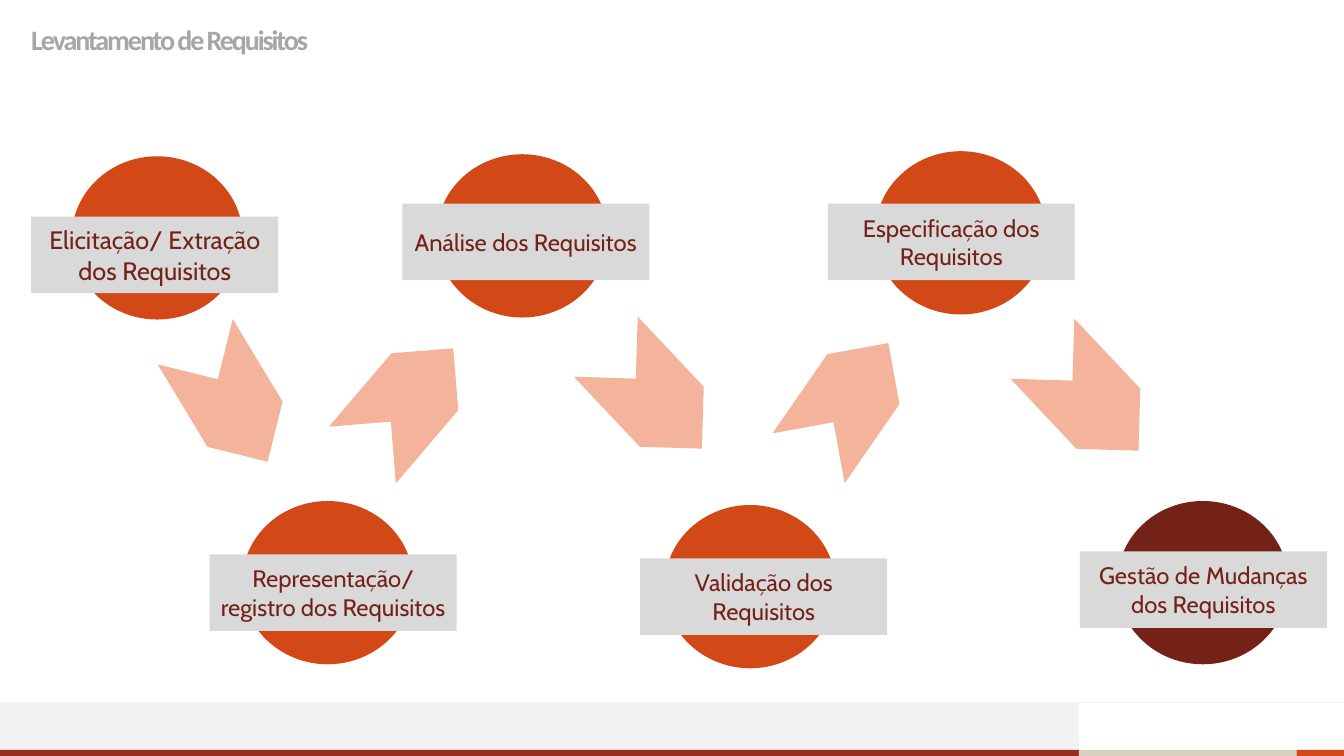
from pptx import Presentation
from pptx.dml.color import RGBColor
from pptx.enum.shapes import MSO_CONNECTOR as Connector, MSO_SHAPE as Shape
from pptx.enum.text import MSO_ANCHOR as Anchor, PP_ALIGN as Align
from pptx.oxml.ns import qn
from pptx.util import Pt
from lxml.etree import SubElement

PX = 9144
WIDTH, HEIGHT = 1333, 750
COLORS = {
    "orange": "D34817", "maroon": "742217", "peach": "F4B39B", "label": "D9D9D9",
    "title": "A6A6A6", "band": "F2F2F2", "red": "9B2D1F", "beige": "D8D0C0",
}
CIRCLE_SIZE = (170, 162)
LABEL_SIZE = (245, 76)
CHEVRON_SIZE = (139, 87)
STEPS = [
    ("Elicitação/ Extração dos Requisitos", (71, 155), (31, 215), "orange", 18),
    ("Representação/ registro dos Requisitos", (240, 497), (208, 550), "orange", 17),
    ("Análise dos Requisitos", (433, 153), (399, 202), "orange", 17),
    ("Validação dos Requisitos", (659, 501), (635, 554), "orange", 17),
    ("Especificação dos Requisitos", (868, 150), (821, 202), "orange", 17),
    ("Gestão de Mudanças dos Requisitos", (1108, 497), (1071, 547), "maroon", 17),
]
CHEVRONS = [
    (160, 355, 58.9), (335, 355, 310.4), (579, 351, 46.7),
    (772, 354, 304.7), (1012, 353, 46.7),
]


def color(name):
    """Return the named colour."""
    return RGBColor.from_string(COLORS[name])


def emu(*lengths):
    """Turn px lengths into EMU."""
    return [length * PX for length in lengths]


def add_filled(page, kind, box, fill):
    """Add a flat shape without outline."""
    shape = page.shapes.add_shape(kind, *emu(*box))
    shape.shadow.inherit = False
    shape.fill.solid()
    shape.fill.fore_color.rgb = color(fill)
    shape.line.fill.background()
    return shape


def add_span(para, text, font_name, size, fill):
    """Add one formatted run to a paragraph."""
    span = para.add_run()
    span.text = text
    span.font.name = font_name
    span.font.size = Pt(size)
    span.font.color.rgb = color(fill)
    return span


def add_title(page, box, text):
    """Place and format the title placeholder."""
    title = page.shapes.title
    title.left, title.top, title.width, title.height = emu(*box)
    frame = title.text_frame
    frame.margin_left = frame.margin_right = frame.margin_top = frame.margin_bottom = 0
    frame.vertical_anchor = Anchor.MIDDLE
    frame.word_wrap = True
    para = frame.paragraphs[0]
    para.alignment = Align.LEFT
    para.line_spacing = 0.9
    span = add_span(para, text, "Calibri", 20, "title")
    span.font.bold = True
    span.font._element.set("spc", "-150")


def add_footer(page, box):
    """Draw the footer band, its top rule and the coloured strip."""
    left, top, width, height = box
    strip = 6
    band_width, beige_width = 1070, 216
    strip_top = top + height - strip
    add_filled(page, Shape.RECTANGLE, (left, top, band_width, height - strip), "band")
    widths = (band_width, beige_width, width - band_width - beige_width)
    for part, fill in zip(widths, ("red", "beige", "orange")):
        add_filled(page, Shape.RECTANGLE, (left, strip_top, part, strip), fill)
        left += part
    rule = page.shapes.add_connector(Connector.STRAIGHT, *emu(left, top, box[0], top))
    rule.line.color.rgb = color("band")
    rule.line.width = Pt(0.5)
    SubElement(rule._element.spPr, qn("a:effectLst"))


def add_step(page, text, circle_at, label_at, fill, size):
    """Draw a circle with its label across it."""
    add_filled(page, Shape.FLOWCHART_CONNECTOR, circle_at + CIRCLE_SIZE, fill)
    label = add_filled(page, Shape.RECTANGLE, label_at + LABEL_SIZE, "label")
    frame = label.text_frame
    frame.word_wrap = True
    frame.vertical_anchor = Anchor.MIDDLE
    para = frame.paragraphs[0]
    para.alignment = Align.CENTER
    add_span(para, text, "Cabin", size, "maroon")


def add_chevron(page, left, top, angle):
    """Draw a turned chevron between two steps."""
    chevron = add_filled(page, Shape.CHEVRON, (left, top) + CHEVRON_SIZE, "peach")
    chevron.rotation = angle


def main():
    """Build the slide and save the deck."""
    deck = Presentation()
    deck.slide_width, deck.slide_height = emu(WIDTH, HEIGHT)
    page = deck.slides.add_slide(deck.slide_layouts[5])
    add_footer(page, (0, 697, WIDTH, 53))
    add_title(page, (31, 18, 1239, 47), "Levantamento de Requisitos")
    for step in STEPS:
        add_step(page, *step)
    for chevron in CHEVRONS:
        add_chevron(page, *chevron)
    deck.save("out.pptx")


if __name__ == "__main__":
    main()
